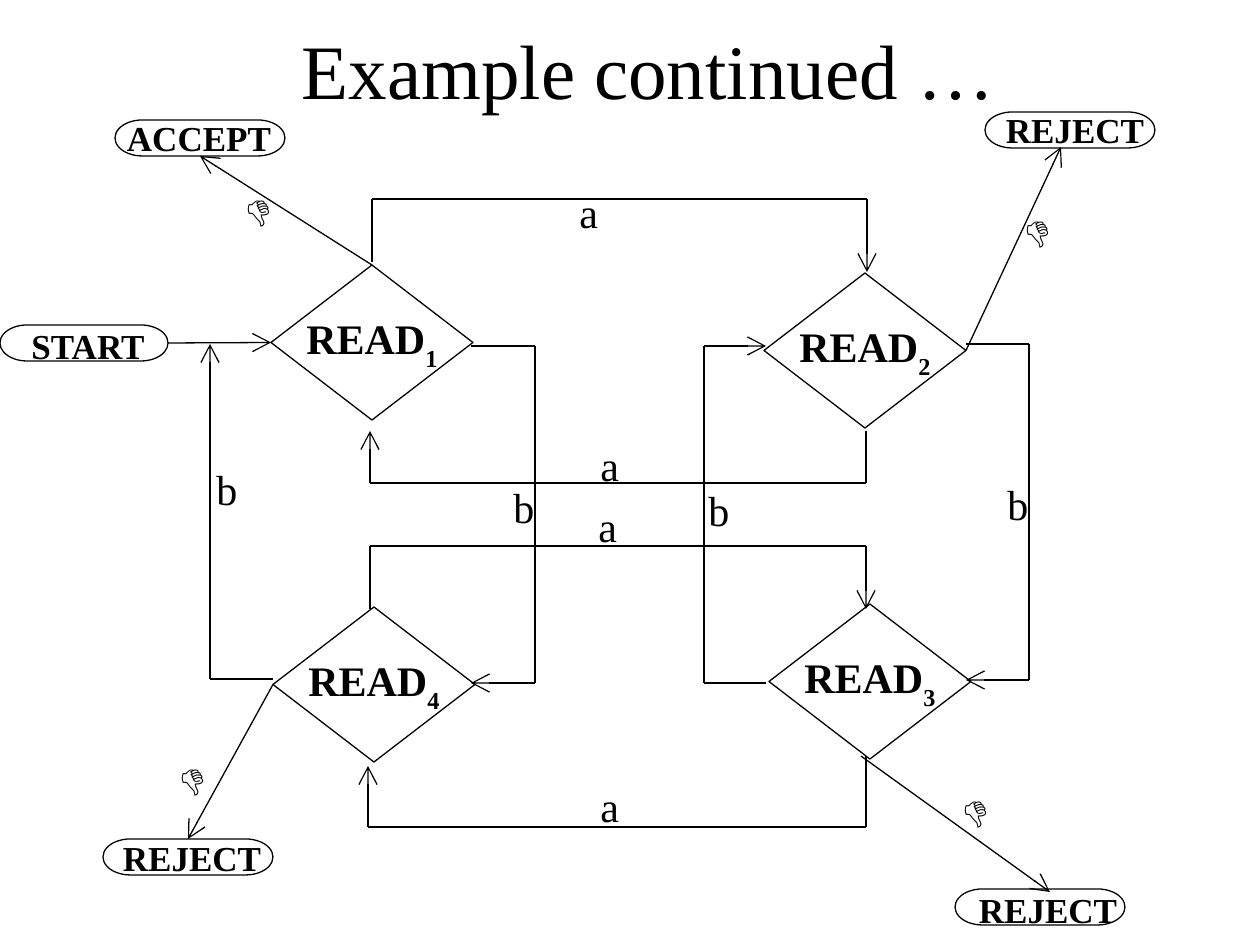
from lxml import etree
from pptx import Presentation
from pptx.dml.color import RGBColor
from pptx.enum.shapes import MSO_CONNECTOR, MSO_SHAPE
from pptx.enum.text import MSO_ANCHOR, MSO_AUTO_SIZE, PP_ALIGN
from pptx.oxml.ns import qn
from pptx.util import Pt

PX = 914400 / 126  # EMU in one px
BLACK = RGBColor(0, 0, 0)
SERIF = "Times New Roman"
TOP, LEFT, BOTTOM, RIGHT = range(4)  # connection sites


def write(shape, parts, size, bold=False, name=SERIF, align=PP_ALIGN.LEFT):
    """Write one paragraph made of several runs and return the runs."""
    paragraph = shape.text_frame.paragraphs[0]
    paragraph.alignment = align
    runs = []
    for part in parts:
        run = paragraph.add_run()
        run.text = part
        font_format = {"size": Pt(size), "bold": bold, "name": name}
        for attribute, value in font_format.items():
            setattr(run.font, attribute, value)
        run.font.color.rgb = BLACK
        runs.append(run)
    return runs


def add_line(start, end, arrow=False):
    """Draw a thin straight connector, with a large open arrowhead if wanted."""
    points = [round(value * PX) for value in (*start, *end)]
    line = slide.shapes.add_connector(MSO_CONNECTOR.STRAIGHT, *points)
    line.line.color.rgb = BLACK
    line.line.width = Pt(0.75)
    if arrow:
        head = {"type": "arrow", "w": "lg", "len": "lg"}
        etree.SubElement(line.line._get_or_add_ln(), qn("a:tailEnd"), head)
    etree.SubElement(line._element.spPr, qn("a:effectLst"))
    return line


presentation = Presentation()
presentation.slide_width = round(1260 * PX)
presentation.slide_height = round(945 * PX)
slide = presentation.slides.add_slide(presentation.slide_layouts[5])

# Title
title = slide.shapes.title
title_box = {"left": 113, "top": 11, "width": 1071, "height": 115}
for attribute, value in title_box.items():
    setattr(title, attribute, round(value * PX))
title.text_frame.vertical_anchor = MSO_ANCHOR.MIDDLE
write(title, ["Example continued …"], 44, align=PP_ALIGN.CENTER)

# Outlines: READ decisions and the start and end states
DECISION, TERMINATOR = MSO_SHAPE.FLOWCHART_DECISION, MSO_SHAPE.FLOWCHART_TERMINATOR
outlines = {
    "READ 1": (DECISION, 271, 265, 202, 155),
    "READ 2": (DECISION, 764, 273, 202, 155),
    "READ 3": (DECISION, 769, 604, 202, 155),
    "READ 4": (DECISION, 273, 607, 202, 155),
    "START": (TERMINATOR, 0, 325, 168, 36),
    "ACCEPT": (TERMINATOR, 115, 120, 170, 36),
    "REJECT 2": (TERMINATOR, 985, 112, 170, 36),
    "REJECT 3": (TERMINATOR, 955, 889, 170, 36),
    "REJECT 4": (TERMINATOR, 103, 839, 170, 36),
}
nodes = {}
for name, (kind, *box) in outlines.items():
    shape = slide.shapes.add_shape(kind, *(round(value * PX) for value in box))
    shape.shadow.inherit = False
    shape.fill.background()
    shape.line.color.rgb = BLACK
    shape.line.width = Pt(0.75)
    if kind == DECISION:
        shape.text_frame.word_wrap = False
        shape.text_frame.vertical_anchor = MSO_ANCHOR.MIDDLE
        runs = write(shape, name.split(), 24, bold=True, align=PP_ALIGN.CENTER)
        runs[1]._r.get_or_add_rPr().set("baseline", "-30000")
    nodes[name] = shape

# Elbow routes between decisions, the last leg carrying the arrowhead
routes = [
    [(372, 262), (372, 199), (867, 199), (867, 272)],
    [(866, 431), (866, 483), (370, 483), (370, 431)],
    [(370, 609), (370, 546), (866, 546), (866, 609)],
    [(866, 756), (866, 827), (368, 827), (368, 766)],
    [(471, 346), (535, 346), (535, 683), (471, 683)],
    [(766, 683), (704, 683), (704, 346), (766, 346)],
    [(966, 344), (1029, 344), (1029, 680), (966, 680)],
    [(273, 679), (210, 679), (210, 344)],
]
for route in routes:
    for start, end in zip(route, route[1:]):
        add_line(start, end, arrow=end == route[-1])

# Direct arrows, joined where they meet the middle of a side
links = [
    ((164, 340), (278, 340), ("START", RIGHT), ("READ 1", LEFT)),
    ((378, 262), (199, 158), ("READ 1", TOP), ("ACCEPT", BOTTOM)),
    ((966, 347), (1061, 147), ("READ 2", RIGHT), None),
    ((861, 756), (1050, 892), None, None),
    ((273, 683), (190, 840), ("READ 4", LEFT), ("REJECT 4", TOP)),
]
for start, end, source, target in links:
    link = add_line(start, end, arrow=True)
    if source:
        link.begin_connect(nodes[source[0]], source[1])
    if target:
        link.end_connect(nodes[target[0]], target[1])

# Labels: (size, bold, font, alignment, height), then left, top, width
letter = (24, False, SERIF, PP_ALIGN.LEFT, 63)
thumb = (24, False, "Cambria", PP_ALIGN.LEFT, 63)
state = (20, True, SERIF, PP_ALIGN.CENTER, 55)
labels = [
    ("a", letter, [(567, 180, 73), (588, 433, 73), (586, 494, 73), (588, 774, 73)]),
    ("b", letter, [(204, 457, 73), (501, 475, 73), (696, 478, 73), (995, 472, 73)]),
    ("👎", thumb, [(232, 178, 73), (166, 747, 73), (949, 779, 73), (1011, 199, 73)]),
    ("START", state, [(8, 318, 160)]),
    ("ACCEPT", state, [(99, 110, 200)]),
    ("REJECT", state, [(985, 102, 180), (102, 830, 180), (958, 882, 180)]),
]
for text, (size, bold, font, align, height), places in labels:
    for place in places:
        box = slide.shapes.add_textbox(*(round(value * PX) for value in (*place, height)))
        box.text_frame.word_wrap = True
        box.text_frame.auto_size = MSO_AUTO_SIZE.SHAPE_TO_FIT_TEXT
        write(box, [text], size, bold, font, align)

presentation.save("out.pptx")
